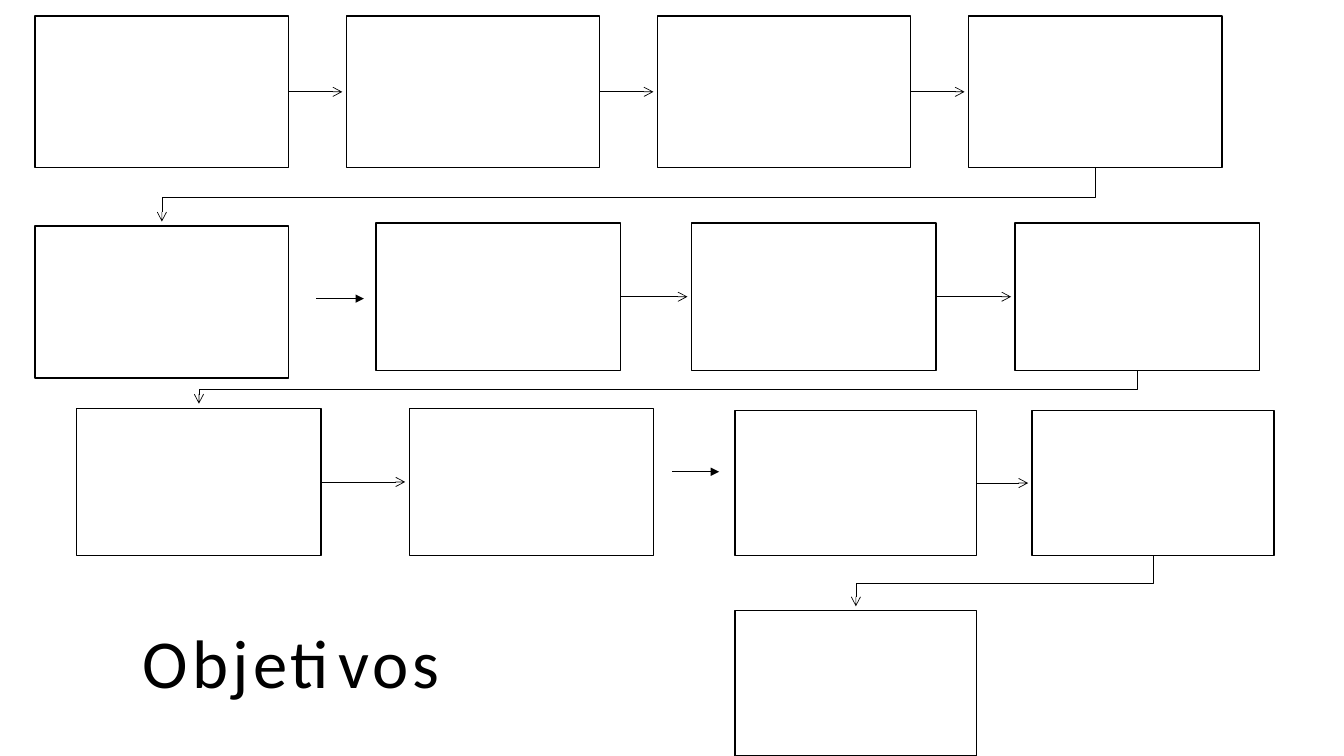
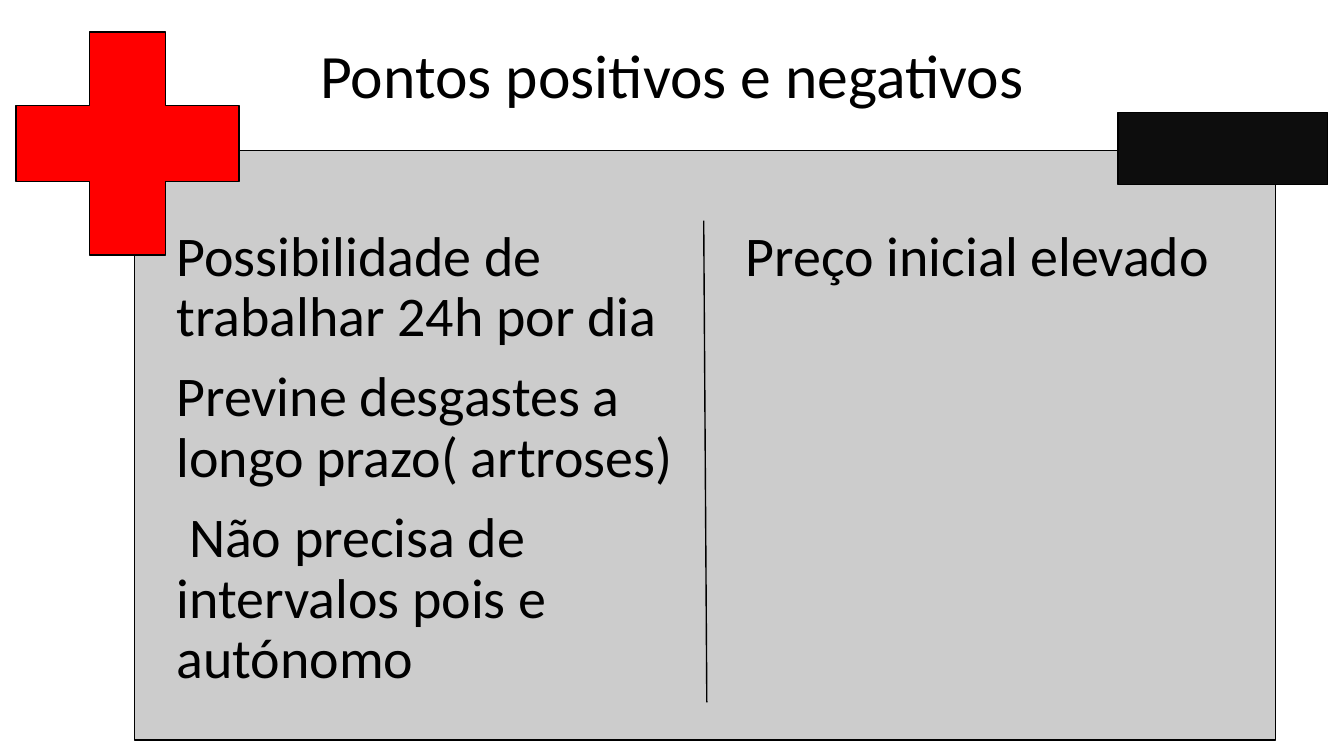
from lxml import etree
from pptx import Presentation
from pptx.dml.color import RGBColor
from pptx.enum.shapes import MSO_CONNECTOR, MSO_SHAPE
from pptx.enum.text import MSO_ANCHOR, PP_ALIGN
from pptx.oxml.ns import qn
from pptx.util import Inches, Pt

RECT, CROSS = MSO_SHAPE.RECTANGLE, MSO_SHAPE.CROSS
LINE = MSO_CONNECTOR.STRAIGHT
LEFT, MID = PP_ALIGN.LEFT, PP_ALIGN.CENTER
TOP, CENTER = MSO_ANCHOR.TOP, MSO_ANCHOR.MIDDLE

BLACK, WHITE, GREY, RED, DARK = "000000", "FFFFFF", "CCCCCC", "FF0000", "0D0D0D"
FONT = "Calibri"

deck = Presentation()
deck.slide_width, deck.slide_height = Inches(13.33), Inches(7.5)
# The grid has 100 columns and 100 rows.
COL, ROW = deck.slide_width / 100, deck.slide_height / 100
TITLE = dict(align=MID, anchor=CENTER, inset=0.05)


def paint(shape, fill=None, width=1, head=None):
    """Set fill, black line and arrowhead, and drop the shadow."""
    if fill:
        shape.fill.solid()
        shape.fill.fore_color.rgb = RGBColor.from_string(fill)
    shape.line.color.rgb = RGBColor.from_string(BLACK)
    shape.line.width = Pt(width)
    props = shape._element.spPr
    if head:
        etree.SubElement(props.find(qn("a:ln")), qn("a:tailEnd"), type=head)
    etree.SubElement(props, qn("a:effectLst"))


def write(slide, lines, left, top, wide, high, size=40, align=LEFT,
          anchor=TOP, inset=0.08, after=0, track=0):
    """Add a text box; its place is in columns and rows, track in points."""
    box = slide.shapes.add_textbox(
        round(left * COL), round(top * ROW), round(wide * COL), round(high * ROW))
    frame = box.text_frame
    frame.word_wrap = True
    frame.vertical_anchor = anchor
    frame.margin_left = frame.margin_right = Inches(inset)
    frame.margin_top = frame.margin_bottom = Inches(inset)
    for i, line in enumerate(lines):
        par = frame.add_paragraph() if i else frame.paragraphs[0]
        par.alignment, par.line_spacing, par.space_after = align, 0.9, Pt(after)
        run = par.add_run()
        run.text = line
        run.font.name, run.font.size = FONT, Pt(size)
        run.font.color.rgb = RGBColor.from_string(BLACK)
        if track:
            run._r.get_or_add_rPr().set("spc", str(track * 100))


# Slide 1: chain of boxes
slide = deck.slides.add_slide(deck.slide_layouts[6])
write(slide, ["Objetivos"], 1.68, 78.5, 40, 19.3, size=49, track=3, **TITLE)

# Each chain: left edges, top, width, height
chains = [
    ([2.62, 25.77, 48.92, 72.07], 2.1, 18.85, 20.1),
    ([2.62], 29.9, 18.85, 20.1),
    ([27.98, 51.45, 75.53], 29.5, 18.2, 19.5),
    ([5.7, 30.45], 54, 18.2, 19.5),
    ([54.68, 76.8], 54.3, 18, 19.2),
    ([54.68], 80.8, 18, 19.2),
]
GAP = 0.3
links = [(23.55, 27.08, 39.5, "triangle"), (50.03, 53.5, 62.4, "triangle")]
for lefts, top, wide, high in chains:
    for left in lefts:
        box = slide.shapes.add_shape(
            RECT, round(left * COL), round(top * ROW),
            round(wide * COL), round(high * ROW))
        paint(box, WHITE)
    for left, right in zip(lefts, lefts[1:]):
        links.append((left + wide, right - GAP, top + high / 2, "arrow"))

for start, end, y, head in links:
    link = slide.shapes.add_connector(
        LINE, round(start * COL), round(y * ROW), round(end * COL), round(y * ROW))
    paint(link, width=0.5, head=head)

# Every other chain leads down to the first box of the next one
for (lefts, top, wide, high), (firsts, low, span, _) in zip(chains[::2], chains[1::2]):
    start, end = lefts[-1] + wide / 2, firsts[0] + span / 2
    foot = top + high
    bend = (foot + low) / 2
    path = [(start, foot), (start, bend), (end, bend), (end, low - 2 * GAP)]
    dots = [(round(x * COL), round(y * ROW)) for x, y in path]
    pen = slide.shapes.build_freeform(*dots[0])
    pen.add_line_segments(dots[1:], close=False)
    elbow = pen.convert_to_shape()
    elbow.fill.background()
    paint(elbow, width=0.5, head="arrow")

# Slide 2: for and against
slide = deck.slides.add_slide(deck.slide_layouts[6])
write(slide, ["Pontos positivos e negativos"], 6.9, 0.8, 86.25, 19.3, size=44, **TITLE)

signs = [
    (RECT, GREY, 10, 19.9, 84.9, 78),
    (CROSS, RED, 1.2, 4.25, 16.6, 29.5),
    (RECT, DARK, 83.2, 14.9, 15.6, 9.5),
]
for kind, fill, left, top, wide, high in signs:
    sign = slide.shapes.add_shape(
        kind, round(left * COL), round(top * ROW), round(wide * COL), round(high * ROW))
    paint(sign, fill)
    if kind == CROSS:
        sign.adjustments[0] = 0.33

pros = [
    "Possibilidade de trabalhar 24h por dia",
    "Previne desgastes a longo prazo( artroses)",
    " Não precisa de intervalos pois e autónomo",
]
cons = ["Preço inicial elevado"]
for left, lines in ((12.53, pros), (54.9, cons)):
    write(slide, lines, left, 29.1, 39.4, 66.7, after=14)

rule = slide.shapes.add_connector(
    LINE, round(52.36 * COL), round(29.2 * ROW), round(52.59 * COL), round(92.9 * ROW))
paint(rule)

deck.save("out.pptx")
